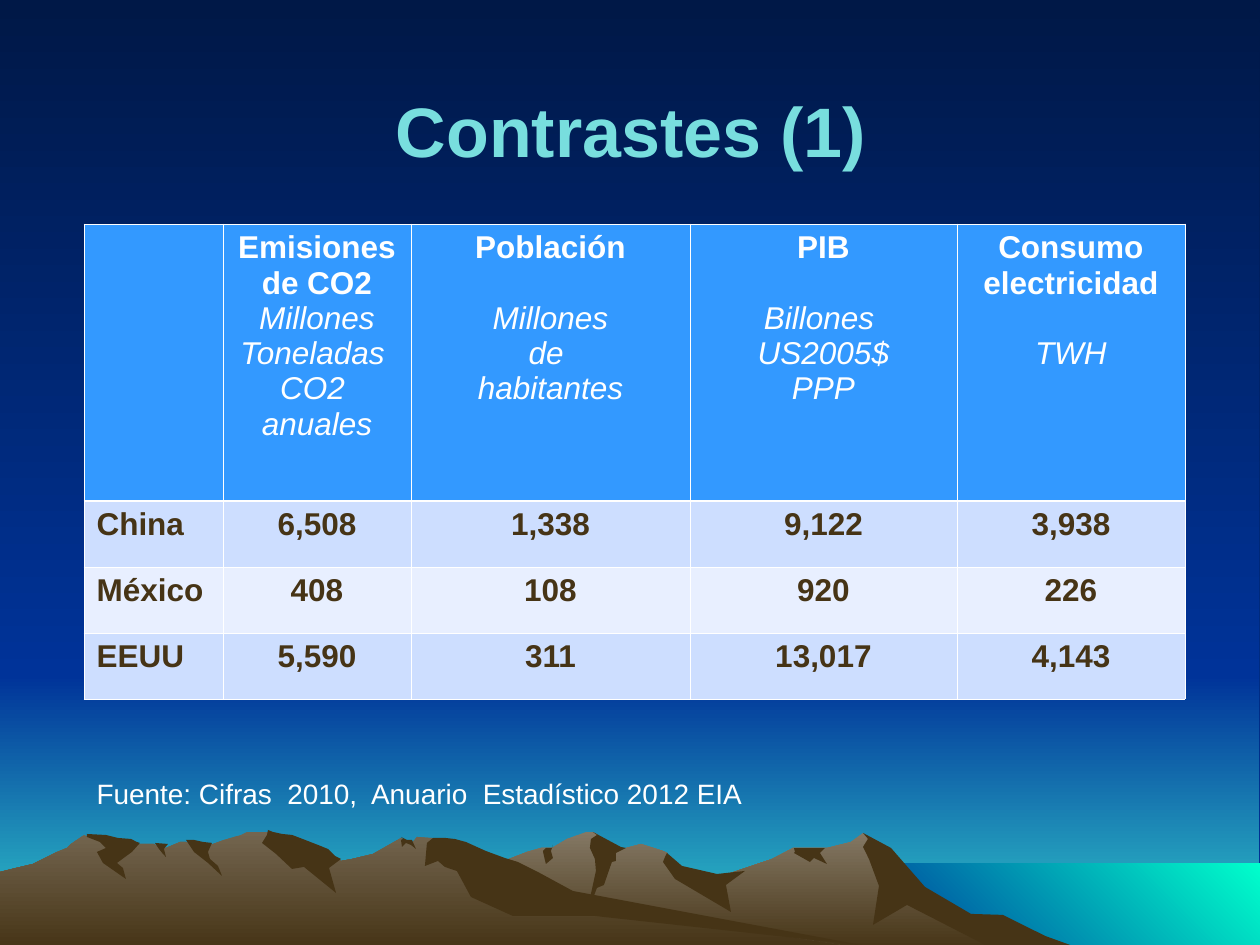
from lxml.etree import SubElement
from pptx import Presentation
from pptx.dml.color import RGBColor
from pptx.enum.shapes import MSO_SHAPE
from pptx.enum.text import MSO_ANCHOR, MSO_AUTO_SIZE, PP_ALIGN
from pptx.oxml.ns import qn
from pptx.util import Pt

PX = 914400 / 126  # EMU in one px

NIGHT = RGBColor(0x00, 0x18, 0x47)
BLUE = RGBColor(0x00, 0x33, 0x99)
TEAL = RGBColor(0x33, 0xCC, 0xCC)
AQUA = RGBColor(0x00, 0xFF, 0xCC)
FAR_ROCK = RGBColor(0x84, 0x78, 0x64)
NEAR_ROCK = RGBColor(0x73, 0x65, 0x4F)
BROWN = RGBColor(0x46, 0x34, 0x16)
TITLE_COLOR = RGBColor(0x78, 0xDE, 0xDE)
WHITE = RGBColor(0xFF, 0xFF, 0xFF)
HEADER_FILL = RGBColor(0x33, 0x99, 0xFF)
ROW_FILLS = (RGBColor(0xCD, 0xDE, 0xFF), RGBColor(0xE8, 0xEF, 0xFF))

DOWN, UP_RIGHT = 270, 45  # gradient directions
THIN, THICK = Pt(0.45), Pt(1.47)

# Mountain outlines in px
FAR_RANGE = [
    (1011, 934), (980, 917), (961, 914), (911, 881), (883, 848), (863, 833), (851, 842),
    (827, 848), (793, 848), (772, 859), (713, 879), (675, 871), (667, 853), (663, 851),
    (641, 844), (626, 848), (611, 851), (597, 834), (593, 832), (586, 832), (567, 839),
    (552, 848), (541, 848), (527, 852), (509, 859), (496, 866), (447, 881), (412, 896),
    (349, 932), (325, 949), (1034, 949)]
NEAR_RANGE = [
    (869, 949), (840, 945), (544, 900), (446, 839), (417, 837), (412, 843), (407, 843),
    (401, 838), (373, 854), (352, 859), (341, 861), (326, 854), (296, 859), (281, 837),
    (276, 834), (267, 832), (247, 832), (241, 835), (224, 840), (202, 848), (186, 842),
    (180, 842), (166, 848), (160, 848), (154, 844), (140, 844), (118, 848), (84, 835),
    (71, 844), (67, 848), (57, 852), (33, 864), (16, 868), (0, 872), (0, 949)]
FAR_SHADES = [
    [(1003, 915), (971, 914), (925, 887), (891, 848), (863, 833), (868, 839), (863, 847),
     (869, 859), (879, 886), (873, 925), (907, 905), (993, 949), (1081, 949), (1045, 936)],
    [(593, 832), (597, 835), (591, 839), (590, 848), (595, 859), (596, 871), (586, 917),
     (597, 888), (604, 885), (612, 862), (616, 861), (616, 853), (626, 848), (621, 847)],
    [(667, 853), (665, 857), (663, 862), (675, 879), (731, 912), (726, 885), (745, 871),
     (717, 874), (682, 866)],
    [(818, 848), (794, 848), (795, 852), (794, 853), (810, 862), (814, 858), (827, 864),
     (820, 853), (825, 848)],
    [(544, 856), (543, 851), (546, 848), (552, 848), (553, 845), (551, 851), (553, 858),
     (546, 864)]]
NEAR_SHADES = [
    [(267, 835), (262, 843), (276, 854), (292, 869), (304, 867), (336, 893), (329, 868),
     (341, 859), (335, 856), (328, 849), (318, 845), (300, 838), (292, 835), (282, 834),
     (273, 832), (268, 830)],
    [(466, 842), (455, 839), (446, 838), (433, 838), (427, 843), (425, 866), (438, 861),
     (445, 867), (457, 871), (471, 897), (513, 916), (595, 916), (869, 946), (861, 945),
     (573, 891), (538, 872), (518, 862), (505, 858), (486, 851)],
    [(401, 840), (403, 839), (401, 837), (407, 840), (412, 840), (416, 849), (411, 845),
     (406, 843), (404, 845), (402, 847)],
    [(194, 840), (203, 842), (212, 843), (208, 852), (210, 859), (218, 866), (222, 876),
     (208, 863), (194, 852), (186, 840)],
    [(168, 844), (164, 849), (166, 857), (163, 854), (159, 849), (155, 843)],
    [(137, 842), (140, 843), (132, 852), (117, 863), (123, 868), (126, 879), (103, 863),
     (97, 852), (106, 848), (100, 842), (87, 837), (87, 834), (106, 835), (118, 838),
     (131, 839)]]

# Table content: bold heading lines, italic unit lines, gap above the units in points
COLUMN_WIDTHS = (139, 188, 279, 267, 228)
ROW_HEIGHTS = (277, 66, 66, 66)
HEADINGS = [
    ([], [], 0),
    (["Emisiones de CO2"], ["Millones", "Toneladas  CO2  anuales"], 0),
    (["Población"], ["Millones", "de ", "habitantes"], 20),
    (["PIB"], ["Billones ", "US2005$", "PPP"], 20),
    (["Consumo", "electricidad"], ["TWH"], 20)]
COUNTRIES = [
    ("China", "6,508", "1,338", "9,122", "3,938"),
    ("México", "408", "108", "920", "226"),
    ("EEUU", "5,590", "311", "13,017", "4,143")]


def px(*lengths):
    return [round(length * PX) for length in lengths]


def write(frame, text, *, size, color, bold=False, italic=False,
          align=PP_ALIGN.LEFT, before=0):
    """Write into the empty first paragraph, or add one after the last."""
    first = frame.paragraphs[0]
    paragraph = frame.add_paragraph() if first.runs else first
    paragraph.alignment = align
    paragraph.space_before = Pt(before)
    run = paragraph.add_run()
    run.text = text
    font = run.font
    font.name, font.size, font.bold, font.italic = "Arial", Pt(size), bold, italic
    font.color.rgb = color


def paint(fill, colors, angle=DOWN):
    if len(colors) == 1:
        fill.solid()
        fill.fore_color.rgb = colors[0]
        return
    fill.gradient()
    fill.gradient_angle = angle
    for stop, color in zip(fill.gradient_stops, colors):
        stop.color.rgb = color


def finish(shape, colors, angle=DOWN):
    paint(shape.fill, colors, angle)
    shape.line.fill.background()
    shape.shadow.inherit = False


def add_band(slide, box, colors, angle=DOWN):
    finish(slide.shapes.add_shape(MSO_SHAPE.RECTANGLE, *px(*box)), colors, angle)


def add_rock(slide, outline, *colors):
    builder = slide.shapes.build_freeform(*outline[0], scale=PX)
    builder.add_line_segments(outline[1:], close=True)
    finish(builder.convert_to_shape(), colors)


def add_landscape(slide):
    paint(slide.background.fill, (NIGHT, BLUE))
    add_band(slide, (-1, 675, 1260, 273), (BLUE, TEAL))
    add_band(slide, (-1, 3, 1260, 672), (NIGHT, BLUE))
    add_band(slide, (861, 864, 399, 84), (BLUE, AQUA), UP_RIGHT)
    add_rock(slide, FAR_RANGE, FAR_ROCK, BROWN)
    for shade in FAR_SHADES:
        add_rock(slide, shade, BROWN)
    add_rock(slide, NEAR_RANGE, NEAR_ROCK, BROWN)
    for shade in NEAR_SHADES:
        add_rock(slide, shade, BROWN)


def fill_placeholder(holder, box, text, anchor, **text_format):
    holder.left, holder.top, holder.width, holder.height = px(*box)
    frame = holder.text_frame
    frame.auto_size = MSO_AUTO_SIZE.NONE
    frame.word_wrap = True
    frame.vertical_anchor = anchor
    write(frame, text, **text_format)
    holder.element.getparent().append(holder.element)  # in front of the landscape


def style_cell(cell, color, top=THIN, bottom=THIN):
    paint(cell.fill, (color,))
    properties = cell.fill._xPr
    edges = (("a:lnL", THIN), ("a:lnR", THIN), ("a:lnT", top), ("a:lnB", bottom))
    for position, (tag, width) in enumerate(edges):
        edge = SubElement(properties, qn(tag), w=str(int(width)))
        SubElement(SubElement(edge, qn("a:solidFill")), qn("a:srgbClr"), val=str(WHITE))
        properties.insert(position, edge)


def add_comparison(slide):
    box = px(84, 224, sum(COLUMN_WIDTHS), sum(ROW_HEIGHTS))
    table = slide.shapes.add_table(len(ROW_HEIGHTS), len(COLUMN_WIDTHS), *box).table
    table.first_row = table.horz_banding = False
    for column, width in zip(table.columns, COLUMN_WIDTHS):
        column.width = px(width)[0]
    for row, height in zip(table.rows, ROW_HEIGHTS):
        row.height = px(height)[0]

    # Header row
    for column, (names, units, gap) in enumerate(HEADINGS):
        cell = table.cell(0, column)
        style_cell(cell, HEADER_FILL, bottom=THICK)
        for name in names:
            write(cell.text_frame, name, size=18, color=WHITE, bold=True,
                  align=PP_ALIGN.CENTER)
        for index, unit in enumerate(units):
            write(cell.text_frame, unit, size=18, color=WHITE, italic=True,
                  align=PP_ALIGN.CENTER, before=0 if index else gap)

    # Country rows
    for row, values in enumerate(COUNTRIES, start=1):
        for column, value in enumerate(values):
            cell = table.cell(row, column)
            style_cell(cell, ROW_FILLS[(row - 1) % 2], top=THICK if row == 1 else THIN)
            write(cell.text_frame, value, size=18, color=BROWN, bold=True,
                  align=PP_ALIGN.CENTER if column else PP_ALIGN.LEFT)


def main():
    deck = Presentation()
    deck.slide_width, deck.slide_height = px(1260, 945)
    slide = deck.slides.add_slide(deck.slide_layouts[0])
    add_landscape(slide)
    fill_placeholder(slide.shapes.title, (64, 55, 1134, 149), "Contrastes (1)",
                     MSO_ANCHOR.MIDDLE, size=40, color=TITLE_COLOR, bold=True,
                     align=PP_ALIGN.CENTER)
    fill_placeholder(slide.placeholders[1], (84, 770, 1152, 49),
                     "Fuente: Cifras  2010,  Anuario  Estadístico 2012 EIA",
                     MSO_ANCHOR.TOP, size=16, color=WHITE)
    add_comparison(slide)
    deck.save("out.pptx")


if __name__ == "__main__":
    main()
